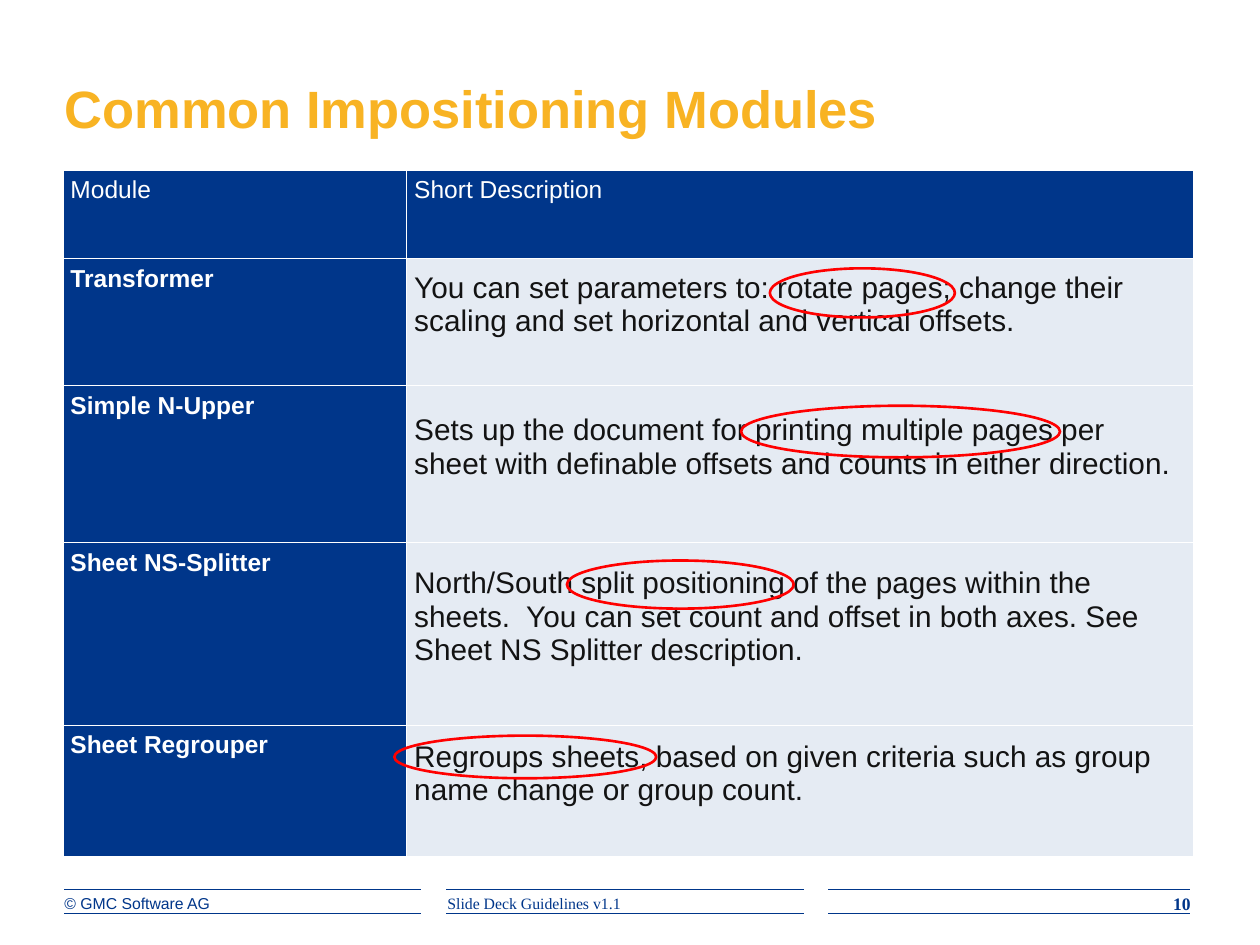
import pptx
import pptx.util
import pptx.dml.color
import pptx.enum.shapes
import pptx.enum.text
import pptx.oxml.ns
from lxml import etree

Cm = pptx.util.Cm
Pt = pptx.util.Pt
Align = pptx.enum.text.PP_ALIGN
Anchor = pptx.enum.text.MSO_ANCHOR
qn = pptx.oxml.ns.qn

HUES = {"navy": "00368A", "gold": "F8B323", "pale": "E5EBF3",
        "ink": "131313", "white": "FFFFFF", "red": "FF0000"}
RGB = {name: pptx.dml.color.RGBColor.from_string(hue) for name, hue in HUES.items()}


def write(frame, text, size, hue, font="Arial", bold=False, align=Align.LEFT):
    par = frame.paragraphs[0]
    par.alignment = align
    run = par.add_run()
    run.text = text
    run.font.size = Pt(size)
    run.font.name = font
    run.font.bold = bold
    run.font.color.rgb = RGB[hue]


deck = pptx.Presentation()
deck.slide_width = Cm(25.4)
deck.slide_height = Cm(19.05)
slide = deck.slides.add_slide(deck.slide_layouts[6])
shapes = slide.shapes

for left, right in [(1.3, 8.48), (9, 16.2), (16.7, 23.98)]:
    for y in (17.93, 18.41):
        rule = shapes.add_connector(pptx.enum.shapes.MSO_CONNECTOR.STRAIGHT,
                                    Cm(left), Cm(y), Cm(right), Cm(y))
        rule.line.color.rgb = RGB["navy"]
        rule.line.width = Pt(0.5)
        etree.SubElement(rule._element.spPr, qn("a:effectLst"))

serif = "Times New Roman"
labels = [
    ((1.3, 1.07, 17.32, 1.73), "Common Impositioning Modules",
     dict(size=30, hue="gold", bold=True), Anchor.BOTTOM),
    ((1.3, 18.01, 7.14, 0.51), "© GMC Software AG",
     dict(size=9, hue="navy"), Anchor.TOP),
    ((9.02, 18.01, 7.16, 0.56), "Slide Deck Guidelines v1.1",
     dict(size=9, hue="navy", font=serif), Anchor.TOP),
    ((22, 18.01, 2, 0.51), "10",
     dict(size=10, hue="navy", font=serif, bold=True, align=Align.RIGHT), Anchor.TOP),
]
for place, text, style, anchor in labels:
    frame = shapes.add_textbox(*map(Cm, place)).text_frame
    frame.word_wrap = True
    frame.vertical_anchor = anchor
    frame.margin_left = frame.margin_right = frame.margin_top = frame.margin_bottom = 0
    write(frame, text, **style)

rows = [
    ("Module", "Short Description", 1.78),
    ("Transformer", "You can set parameters to: rotate pages; change their scaling "
     "and set horizontal and vertical offsets.", 2.56),
    ("Simple N-Upper", "Sets up the document for printing multiple pages per sheet "
     "with definable offsets and counts in either direction.", 3.17),
    ("Sheet NS-Splitter", "North/South split positioning of the pages within the sheets. "
     " You can set count and offset in both axes. See Sheet NS Splitter description.", 3.68),
    ("Sheet Regrouper", "Regroups sheets, based on given criteria such as group name "
     "change or group count.", 2.65),
]
table = shapes.add_table(len(rows), 2, Cm(1.27), Cm(3.43), Cm(22.78), Cm(13.84)).table
table.first_row = table.horz_banding = False
table.columns[0].width = Cm(6.93)
table.columns[1].width = Cm(15.85)

for r, (*texts, height) in enumerate(rows):
    table.rows[r].height = Cm(height)
    for c, text in enumerate(texts):
        cell = table.cell(r, c)
        body = r > 0 and c == 1
        cell.margin_left = cell.margin_right = Cm(0.15)
        cell.margin_top = Cm(0.13)
        cell.margin_bottom = Cm(0.82 if body else 0.13)
        cell.vertical_anchor = Anchor.MIDDLE if body else Anchor.TOP
        cell.fill.solid()
        cell.fill.fore_color.rgb = RGB["pale" if body else "navy"]
        write(cell.text_frame, text, size=17 if body else 14,
              hue="ink" if body else "white", bold=r > 0 and c == 0)
        props = cell._tc.get_or_add_tcPr()
        for i, side in enumerate("LRTB"):
            edge = etree.Element(qn(f"a:ln{side}"), w=str(Pt(0.45)))
            fill = etree.SubElement(edge, qn("a:solidFill"))
            etree.SubElement(fill, qn("a:srgbClr"), val=HUES["white"])
            props.insert(i, edge)

for place in [(15.52, 5.41, 3.73, 0.99), (14.94, 8.18, 6.43, 1.04),
              (11.43, 11.3, 4.57, 0.97), (7.95, 14.83, 5.28, 0.86)]:
    ring = shapes.add_shape(pptx.enum.shapes.MSO_SHAPE.OVAL, *map(Cm, place))
    ring.shadow.inherit = False
    ring.fill.background()
    ring.line.color.rgb = RGB["red"]
    ring.line.width = Pt(1.5)

deck.save("out.pptx")
